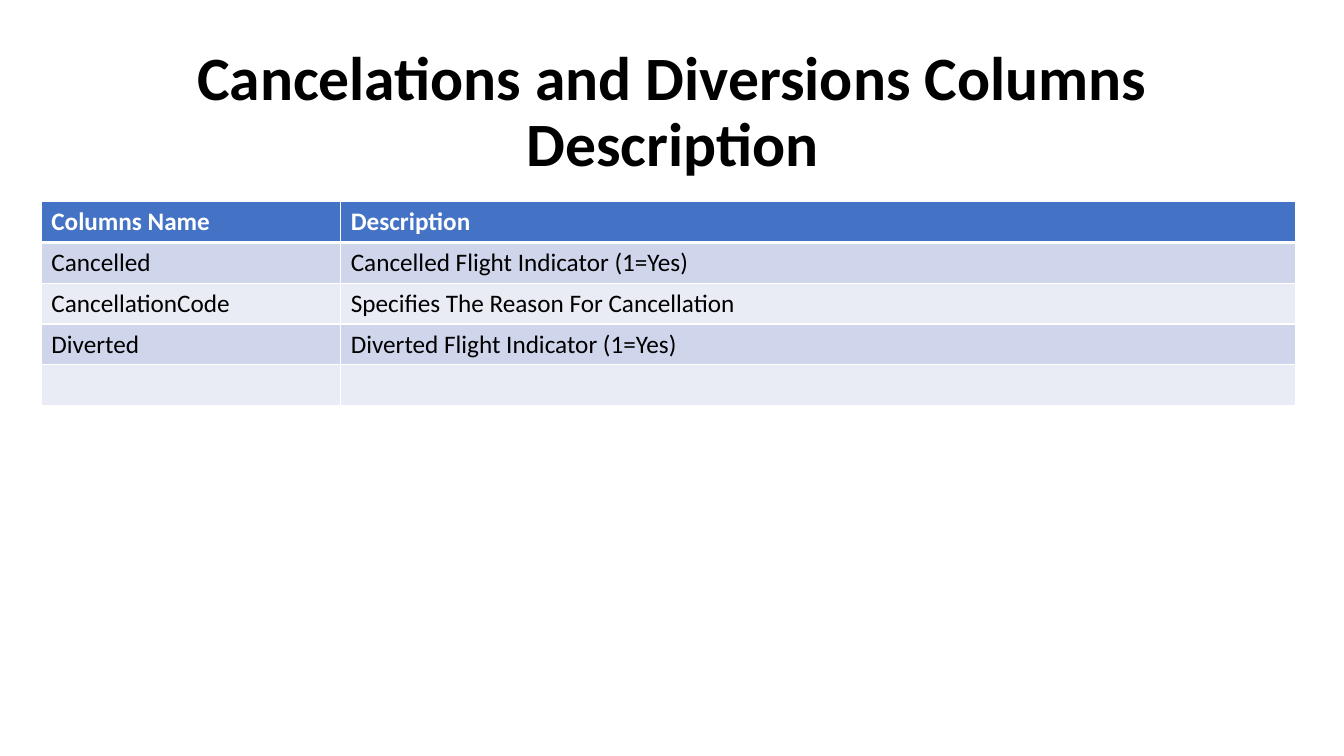
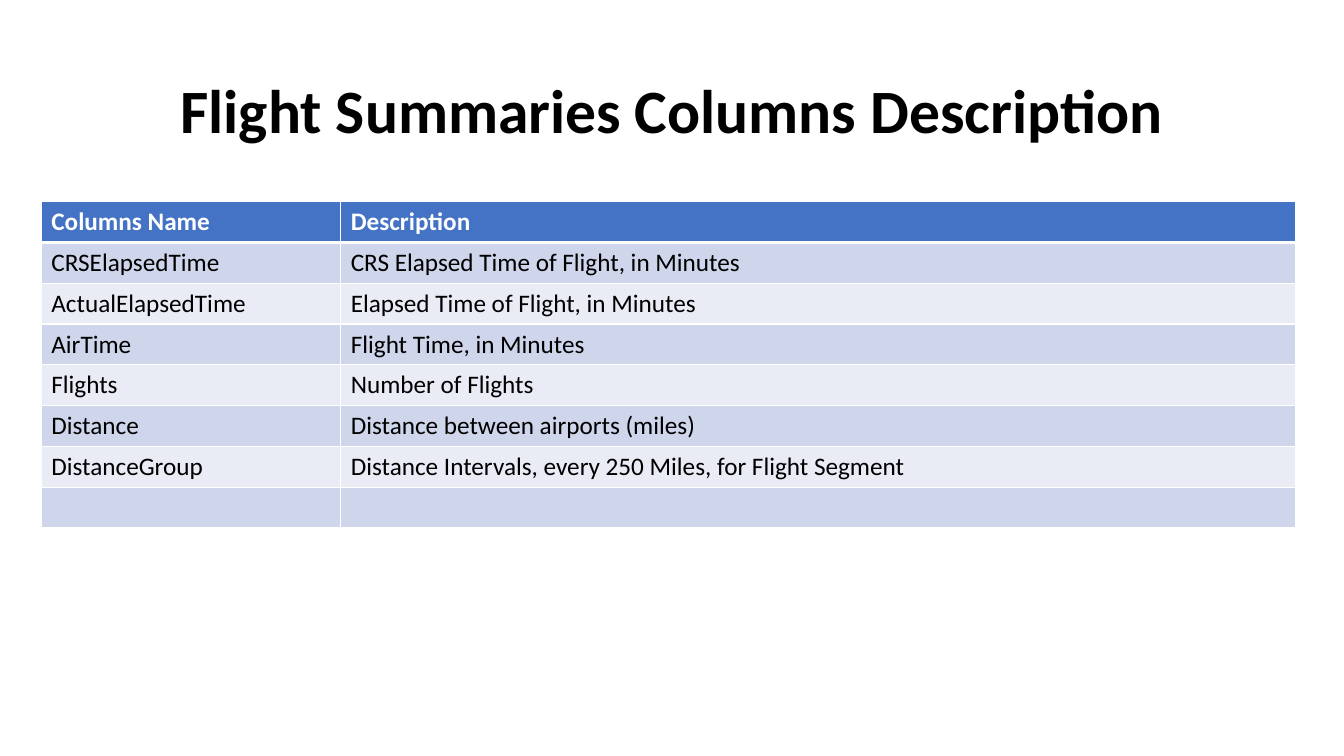
import pptx
import pptx.dml.color
import pptx.enum.text
import pptx.oxml
import pptx.oxml.ns
import pptx.util

Inches = pptx.util.Inches
Pt = pptx.util.Pt

FONT = "Calibri"
BLACK = "000000"
WHITE = "FFFFFF"
HEADER_FILL = "4472C4"
BAND_FILLS = ["CFD5EA", "E9EBF5"]
HEADER = ("Columns Name", "Description")
COLUMN_WIDTHS = [2.97, 9.47]

SLIDES = [
    ("Cancelations and Diversions Columns Description", [
        ("Cancelled", "Cancelled Flight Indicator (1=Yes)"),
        ("CancellationCode", "Specifies The Reason For Cancellation"),
        ("Diverted", "Diverted Flight Indicator (1=Yes)"),
        ("", ""),
    ]),
    ("Flight Summaries Columns Description", [
        ("CRSElapsedTime", "CRS Elapsed Time of Flight, in Minutes"),
        ("ActualElapsedTime", "Elapsed Time of Flight, in Minutes"),
        ("AirTime", "Flight Time, in Minutes"),
        ("Flights", "Number of Flights"),
        ("Distance", "Distance between airports (miles)"),
        ("DistanceGroup", "Distance Intervals, every 250 Miles, for Flight Segment"),
        ("", ""),
    ]),
]


def add_run(paragraph, text, size, color, bold):
    run = paragraph.add_run()
    run.text = text
    run.font.name = FONT
    run.font.size = Pt(size)
    run.font.bold = bold
    run.font.color.rgb = pptx.dml.color.RGBColor.from_string(color)


def style_cell(cell, fill, top, bottom):
    properties = cell._tc.get_or_add_tcPr()
    for side, width in (("L", 1), ("R", 1), ("T", top), ("B", bottom)):
        properties.append(pptx.oxml.parse_xml(
            f'<a:ln{side} {pptx.oxml.ns.nsdecls("a")} w="{Pt(width)}">'
            f'<a:solidFill><a:srgbClr val="{WHITE}"/></a:solidFill></a:ln{side}>'))
    cell.fill.solid()
    cell.fill.fore_color.rgb = pptx.dml.color.RGBColor.from_string(fill)


presentation = pptx.Presentation()
presentation.slide_width = Inches(13.33)
presentation.slide_height = Inches(7.5)

for title, entries in SLIDES:
    slide = presentation.slides.add_slide(presentation.slide_layouts[6])

    title_box = slide.shapes.add_textbox(Inches(0.92), Inches(0.4), Inches(11.5), Inches(1.45))
    title_frame = title_box.text_frame
    title_frame.word_wrap = True
    title_frame.vertical_anchor = pptx.enum.text.MSO_ANCHOR.MIDDLE
    paragraph = title_frame.paragraphs[0]
    paragraph.alignment = pptx.enum.text.PP_ALIGN.CENTER
    paragraph.line_spacing = 0.9
    add_run(paragraph, title, 44, BLACK, True)

    rows = [HEADER] + entries
    table = slide.shapes.add_table(
        len(rows), len(HEADER), Inches(0.41), Inches(2),
        Inches(sum(COLUMN_WIDTHS)), Inches(0.81) * len(rows) // 2).table
    for column, width in zip(table.columns, COLUMN_WIDTHS):
        column.width = Inches(width)

    for row_index, row in enumerate(rows):
        is_header = row_index == 0
        fill = HEADER_FILL if is_header else BAND_FILLS[(row_index - 1) % 2]
        for column_index, text in enumerate(row):
            cell = table.cell(row_index, column_index)
            style_cell(cell, fill, 3 if row_index == 1 else 1, 3 if is_header else 1)
            if text:
                add_run(cell.text_frame.paragraphs[0], text, 18,
                        WHITE if is_header else BLACK, is_header)

presentation.save("out.pptx")
